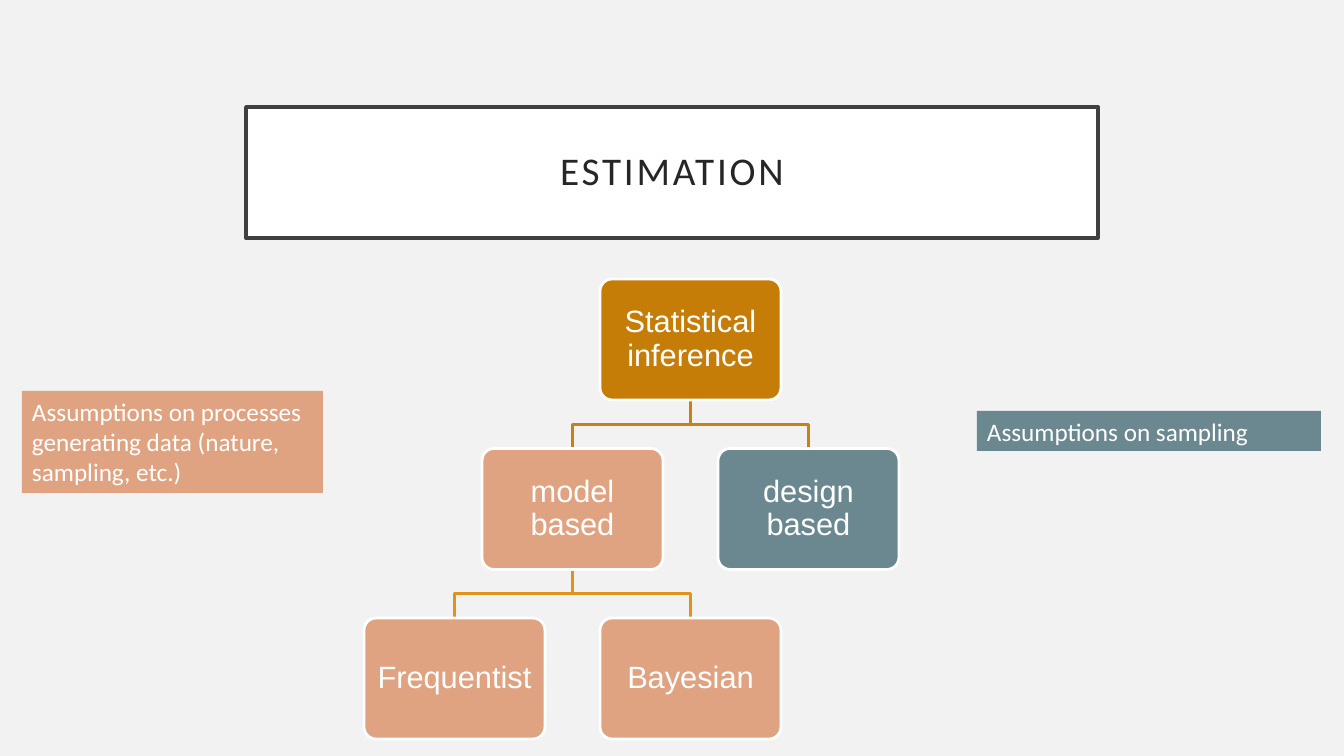
from dataclasses import dataclass

from pptx import Presentation
from pptx.dml.color import RGBColor
from pptx.enum.shapes import MSO_SHAPE
from pptx.enum.text import MSO_ANCHOR, PP_ALIGN
from pptx.util import Emu, Pt

RECTANGLE = MSO_SHAPE.RECTANGLE
ROUNDED = MSO_SHAPE.ROUNDED_RECTANGLE
MIDDLE, TOP = MSO_ANCHOR.MIDDLE, MSO_ANCHOR.TOP
CENTER, LEFT = PP_ALIGN.CENTER, PP_ALIGN.LEFT
TITLE_ONLY = 5


@dataclass(frozen=True)
class Theme:
    paper: str = "F2F2F2"
    white: str = "FFFFFF"
    frame: str = "404040"
    ink: str = "262626"
    root: str = "C67D08"
    model: str = "E0A382"
    design: str = "6B8891"
    upper_link: str = "C58217"
    lower_link: str = "DF931A"
    body_font: str = "Calibri"
    node_font: str = "Arial"
    title_size: int = 28
    node_size: int = 22
    note_size: int = 18
    line_width: float = 2
    frame_width: float = 2.5


THEME = Theme()


def px(length):
    return Emu(round(length * 914400 / 100.8))


def rgb(code):
    return RGBColor.from_string(code)


def paint(shape, fill, line=None, width=THEME.line_width):
    if fill:
        shape.fill.solid()
        shape.fill.fore_color.rgb = rgb(fill)
    else:
        shape.fill.background()
    if line:
        shape.line.color.rgb = rgb(line)
        shape.line.width = Pt(width)
    else:
        shape.line.fill.background()


def write(shape, text, font, size, color, align, anchor, inset, spacing=1.0):
    frame = shape.text_frame
    frame.word_wrap = True
    frame.vertical_anchor = anchor
    frame.margin_left = frame.margin_right = px(inset[0])
    frame.margin_top = frame.margin_bottom = px(inset[1])
    para = frame.paragraphs[0]
    para.alignment = align
    para.line_spacing = spacing
    span = para.add_run()
    span.text = text
    span.font.name = font
    span.font.size = Pt(size)
    span.font.color.rgb = rgb(color)
    return span


def add_block(page, kind, box, fill, line=None):
    block = page.shapes.add_shape(kind, *map(px, box))
    block.shadow.inherit = False
    paint(block, fill, line)
    return block


def add_title(page, box, text):
    title = page.shapes.title
    title.left, title.top, title.width, title.height = map(px, box)
    paint(title, THEME.white, THEME.frame, THEME.frame_width)
    span = write(title, text, THEME.body_font, THEME.title_size, THEME.ink,
                 CENTER, MIDDLE, (20, 20), 0.9)
    span.font._element.set("spc", "200")


def add_link(page, start, end, color):
    middle = (start[1] + end[1]) / 2
    corners = [start, (start[0], middle), (end[0], middle), end]
    points = [(px(x), px(y)) for x, y in corners]
    builder = page.shapes.build_freeform(*points[0])
    builder.add_line_segments(points[1:], close=False)
    link = builder.convert_to_shape()
    link.shadow.inherit = False
    paint(link, None, color)


def add_tree(page, box):
    left, top, width, height = box
    node_width, node_height = 181, 121
    column = (width - node_width) / 3
    row = (height - node_height) / 2
    nodes = {
        "Statistical inference": (2, 0, THEME.root),
        "model based": (1, 1, THEME.model),
        "design based": (3, 1, THEME.design),
        "Frequentist": (0, 2, THEME.model),
        "Bayesian": (2, 2, THEME.model),
    }
    links = [
        ("Statistical inference", "model based", THEME.upper_link),
        ("Statistical inference", "design based", THEME.upper_link),
        ("model based", "Frequentist", THEME.lower_link),
        ("model based", "Bayesian", THEME.lower_link),
    ]
    corner = {name: (left + across * column, top + down * row)
              for name, (across, down, _) in nodes.items()}
    for parent, child, color in links:
        start = (corner[parent][0] + node_width / 2, corner[parent][1] + node_height)
        end = (corner[child][0] + node_width / 2, corner[child][1])
        add_link(page, start, end, color)
    for name, (_, _, color) in nodes.items():
        node = add_block(page, ROUNDED, (*corner[name], node_width, node_height),
                         color, THEME.white)
        node.adjustments[0] = 0.1
        write(node, name, THEME.node_font, THEME.node_size, THEME.white,
              CENTER, MIDDLE, (8, 9), 0.9)


def add_note(page, box, text, fill):
    note = add_block(page, RECTANGLE, box, fill)
    write(note, text, THEME.body_font, THEME.note_size, THEME.white,
          LEFT, TOP, (10, 5))


def main():
    deck = Presentation()
    deck.slide_width, deck.slide_height = px(1344), px(756)
    page = deck.slides.add_slide(deck.slide_layouts[TITLE_ONLY])
    page.background.fill.solid()
    page.background.fill.fore_color.rgb = rgb(THEME.paper)
    add_title(page, (246, 107, 852, 131), "ESTIMATION")
    add_tree(page, (364, 279, 535, 460))
    add_note(page, (977, 411, 344, 40), "Assumptions on sampling", THEME.design)
    add_note(page, (22, 391, 301, 102),
             "Assumptions on processes generating data (nature, sampling, etc.)",
             THEME.model)
    deck.save("out.pptx")


if __name__ == "__main__":
    main()
